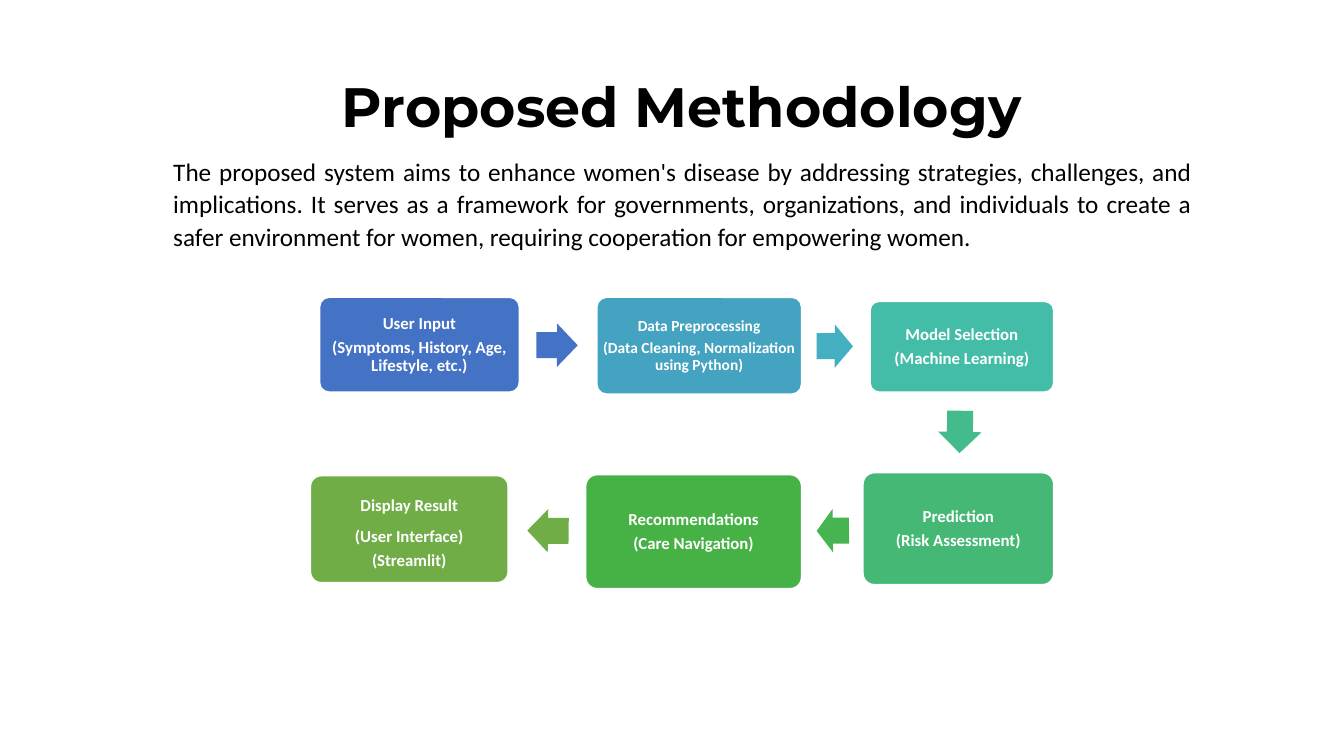
from dataclasses import dataclass

from pptx import Presentation
from pptx.dml.color import RGBColor
from pptx.enum.shapes import MSO_SHAPE as Shape
from pptx.enum.text import MSO_ANCHOR as Anchor, MSO_AUTO_SIZE as AutoSize, PP_ALIGN as Align
from pptx.util import Pt

PX = 9144  # 100 px to the inch

BLACK = RGBColor(0x00, 0x00, 0x00)
WHITE = RGBColor(0xFF, 0xFF, 0xFF)
BLUE = RGBColor(0x44, 0x72, 0xC4)
SKY = RGBColor(0x44, 0xA3, 0xC0)
CYAN = RGBColor(0x43, 0xAF, 0xC0)
TEAL = RGBColor(0x43, 0xBD, 0xA7)
MINT = RGBColor(0x43, 0xBB, 0x8D)
JADE = RGBColor(0x44, 0xB8, 0x74)
LEAF = RGBColor(0x45, 0xB4, 0x51)
GREEN = RGBColor(0x46, 0xB2, 0x46)
OLIVE = RGBColor(0x70, 0xAD, 0x47)

INTRO = (
    "The proposed system aims to enhance women's disease by addressing strategies, "
    "challenges, and implications. It serves as a framework for governments, "
    "organizations, and individuals to create a safer environment for women, "
    "requiring cooperation for empowering women."
)


@dataclass(frozen=True)
class Step:
    left: int
    top: int
    width: int
    height: int
    fill: RGBColor
    lines: tuple[str, ...]
    size: int = 12
    first_gap: float = 4.2
    top_inset: int = 2


@dataclass(frozen=True)
class Arrow:
    left: int
    top: int
    width: int
    angle: float
    fill: RGBColor


STEPS = (
    Step(317, 295, 198, 94, BLUE, ("User Input", "(Symptoms, History, Age, Lifestyle, etc.)")),
    Step(592, 295, 203, 96, SKY,
         ("Data Preprocessing", "(Data Cleaning, Normalization using Python)"), size=11),
    Step(863, 299, 182, 90, TEAL, ("Model Selection", "(Machine Learning)")),
    Step(856, 469, 189, 111, JADE, ("Prediction", "(Risk Assessment)")),
    Step(581, 471, 214, 113, GREEN, ("Recommendations", "(Care Navigation)")),
    Step(308, 472, 196, 106, OLIVE, ("Display Result", "(User Interface)", "(Streamlit)"),
         first_gap=9.7, top_inset=11),
)

ARROW_HEIGHT = 43
ARROWS = (
    Arrow(532, 321, 41, 0.2, BLUE),
    Arrow(810, 322, 36, 0.4, CYAN),
    Arrow(931, 407, 42, 91, MINT),
    Arrow(810, 505, 32, 179.3, LEAF),
    Arrow(523, 505, 41, 180.7, OLIVE),
)


def set_values(target, values: dict) -> None:
    for name, value in values.items():
        setattr(target, name, value)


def place(shape, left: int, top: int, width: int, height: int) -> None:
    set_values(shape, {"left": left * PX, "top": top * PX,
                       "width": width * PX, "height": height * PX})


def write(para, text: str, layout: dict, color: RGBColor, letters: dict) -> None:
    set_values(para, layout)
    span = para.add_run()
    span.text = text
    set_values(span.font, letters)
    span.font.color.rgb = color


def add_filled(page, kind: Shape, area: tuple[int, int, int, int], color: RGBColor):
    shape = page.shapes.add_shape(kind, *(value * PX for value in area))
    shape.shadow.inherit = False
    shape.fill.solid()
    shape.fill.fore_color.rgb = color
    return shape


def add_step(page, step: Step) -> None:
    box = add_filled(page, Shape.ROUNDED_RECTANGLE,
                     (step.left, step.top, step.width, step.height), step.fill)
    box.adjustments[0] = 0.1
    box.line.color.rgb = WHITE
    box.line.width = Pt(1)
    frame = box.text_frame
    set_values(frame, {
        "word_wrap": True, "vertical_anchor": Anchor.MIDDLE,
        "margin_left": 2 * PX, "margin_right": 2 * PX,
        "margin_top": step.top_inset * PX, "margin_bottom": 2 * PX,
    })
    for index, line in enumerate(step.lines):
        para = frame.add_paragraph() if index else frame.paragraphs[0]
        gap = 4.2 if index else step.first_gap
        write(para, line,
              {"alignment": Align.CENTER, "line_spacing": 0.9, "space_after": Pt(gap)},
              WHITE, {"name": "Calibri", "size": Pt(step.size), "bold": True})


def add_arrow(page, arrow: Arrow) -> None:
    shape = add_filled(page, Shape.RIGHT_ARROW,
                       (arrow.left, arrow.top, arrow.width, ARROW_HEIGHT), arrow.fill)
    shape.adjustments[0] = 0.6
    shape.adjustments[1] = 0.5
    shape.line.fill.background()
    shape.rotation = arrow.angle


def main() -> None:
    deck = Presentation()
    set_values(deck, {"slide_width": 1333 * PX, "slide_height": 750 * PX})
    page = deck.slides.add_slide(deck.slide_layouts[5])

    # Title
    title = page.shapes.title
    place(title, 329, 84, 798, 50)
    set_values(title.text_frame, {"word_wrap": True, "auto_size": AutoSize.NONE,
                                  "vertical_anchor": Anchor.MIDDLE})
    write(title.text_frame.paragraphs[0], "Proposed Methodology",
          {"alignment": Align.LEFT, "line_spacing": 0.9}, BLACK,
          {"name": "Montserrat", "size": Pt(39.6), "bold": True})

    # Introduction
    intro = page.shapes.add_textbox(162 * PX, 148 * PX, 1030 * PX, 107 * PX)
    intro.text_frame.word_wrap = True
    write(intro.text_frame.paragraphs[0], INTRO,
          {"alignment": Align.JUSTIFY, "line_spacing": 1.07, "space_after": Pt(8)},
          BLACK, {"name": "Calibri", "size": Pt(18)})

    # Process flow
    for step in STEPS:
        add_step(page, step)
    for arrow in ARROWS:
        add_arrow(page, arrow)

    deck.save("out.pptx")


if __name__ == "__main__":
    main()
